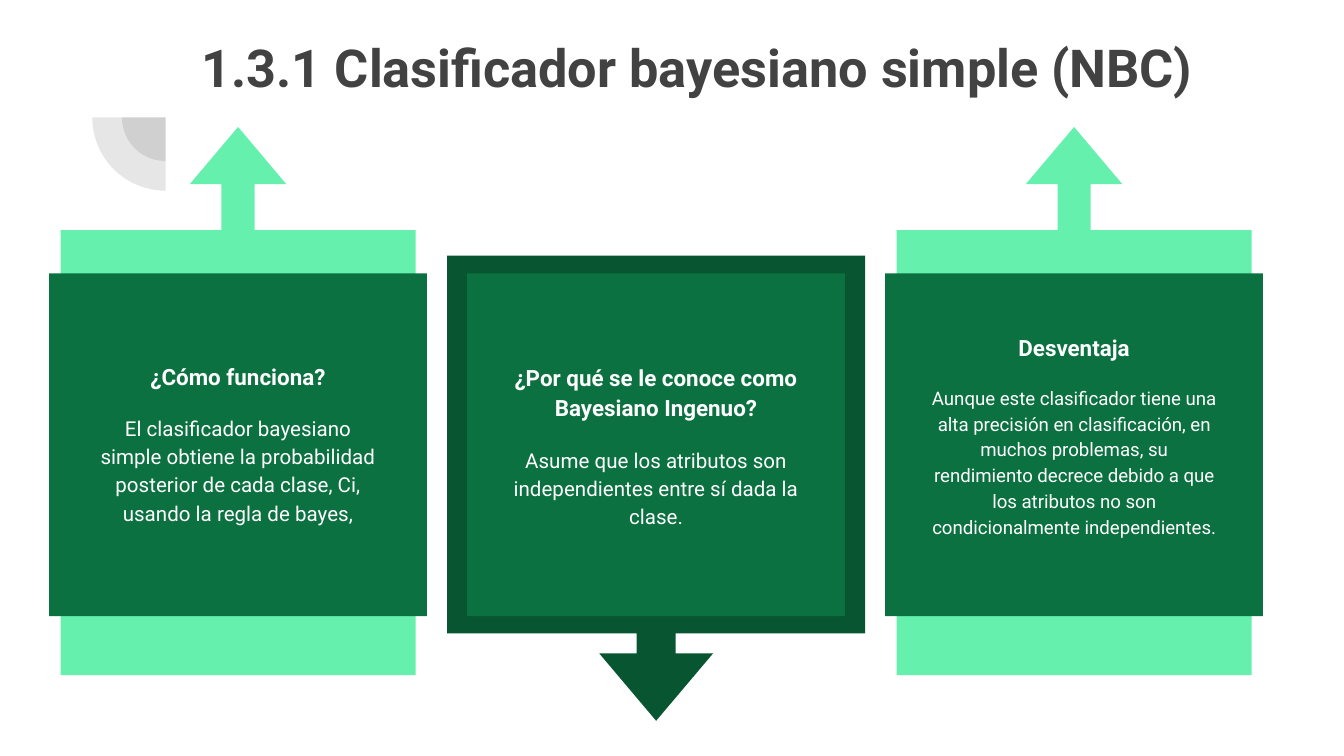
from dataclasses import dataclass

from lxml.etree import SubElement
from pptx import Presentation
from pptx.dml.color import RGBColor
from pptx.enum.shapes import MSO_SHAPE
from pptx.enum.text import MSO_ANCHOR, MSO_AUTO_SIZE, PP_ALIGN
from pptx.oxml.ns import qn
from pptx.shapes.autoshape import Shape
from pptx.slide import Slide
from pptx.text.text import TextFrame, _Paragraph
from pptx.util import Cm, Pt

FONT = "Roboto"
GREY, WHITE = "424242", "FFFFFF"
PANEL, LIGHT, DARK = "0B7140", "65F0AD", "085631"
FIRST, STEP = 4.5, 7.9  # centre of the first card, distance between centres
PANEL_W, PANEL_H, PANEL_MID = 7.14, 6.48, 8.41
TEXT_W = 5.97
FRAME = dict(word_wrap=True, auto_size=MSO_AUTO_SIZE.NONE,
             vertical_anchor=MSO_ANCHOR.TOP,
             margin_left=Cm(0.25), margin_right=Cm(0.25),
             margin_top=Cm(0.25), margin_bottom=Cm(0.25))


@dataclass
class Arrow:
    length: float
    width: float
    mid: float
    turn: int
    color: str


@dataclass
class Card:
    head: str
    body: str
    size: int
    top: float
    height: float
    arrow: Arrow


UP = Arrow(10.36, 6.71, 7.58, 270, LIGHT)
DOWN = Arrow(8.79, 7.9, 9.23, 90, DARK)
CARDS = [
    Card("¿Cómo funciona?",
         "El clasificador bayesiano simple obtiene la probabilidad posterior "
         "de cada clase, Ci, usando la regla de bayes,", 11, 6.53, 3.3, UP),
    Card("¿Por qué se le conoce como Bayesiano Ingenuo?",
         "Asume que los atributos son independientes entre sí dada la clase.",
         11, 6.55, 4.42, DOWN),
    Card("Desventaja",
         "Aunque este clasificador tiene una alta precisión en clasificación, "
         "en muchos problemas, su rendimiento decrece debido a que los "
         "atributos no son condicionalmente independientes.",
         10, 5.99, 5.41, UP),
]


def rgb(code: str) -> RGBColor:
    return RGBColor.from_string(code)


def apply(item: object, values: dict) -> None:
    for name, value in values.items():
        setattr(item, name, value)


def add_form(slide: Slide, kind: MSO_SHAPE, x: float, y: float,
             w: float, h: float, color: str) -> Shape:
    """Draw a plain filled shape centred on x, y."""
    form = slide.shapes.add_shape(kind, Cm(x - w / 2), Cm(y - h / 2), Cm(w), Cm(h))
    form.shadow.inherit = False
    form.fill.solid()
    form.fill.fore_color.rgb = rgb(color)
    form.line.fill.background()
    return form


def tune(form: Shape, values: list[float]) -> None:
    """Set the adjustments of a shape."""
    for i, value in enumerate(values):
        form.adjustments[i] = value


def write(par: _Paragraph, text: str, size: int, color: str, bold: bool) -> None:
    run = par.add_run()
    run.text = text
    apply(run.font, dict(name=FONT, size=Pt(size), bold=bold))
    run.font.color.rgb = rgb(color)


def add_title(slide: Slide, text: str) -> None:
    title = slide.shapes.title
    apply(title, dict(left=Cm(3.56), top=Cm(0.41), width=Cm(19.53), height=Cm(2.77)))
    apply(title.text_frame, FRAME)
    par = title.text_frame.paragraphs[0]
    apply(par, dict(alignment=PP_ALIGN.LEFT, line_spacing=1.0))
    write(par, text, 28, GREY, True)


def add_fan(slide: Slide) -> None:
    """Draw the two translucent quarter circles in the corner."""
    for size in (1.65, 2.77):
        pie = add_form(slide, MSO_SHAPE.PIE, 3.13, 2.22, size, size, GREY)
        tune(pie, [54, 108])
        tint = pie.fill._xPr.find(qn("a:solidFill"))[0]
        SubElement(tint, qn("a:alpha"), val="13000")


def fill_text(frame: TextFrame, card: Card) -> None:
    apply(frame, FRAME)
    rows = [(card.head, 12, True, 12), (card.body, card.size, False, 16)]
    for i, (text, size, bold, gap) in enumerate(rows):
        par = frame.add_paragraph() if i else frame.paragraphs[0]
        apply(par, dict(alignment=PP_ALIGN.CENTER, line_spacing=1.15,
                        space_after=Pt(gap)))
        write(par, text, size, WHITE, bold)


def add_card(slide: Slide, card: Card, x: float) -> None:
    arrow = card.arrow
    back = add_form(slide, MSO_SHAPE.RIGHT_ARROW_CALLOUT, x, arrow.mid,
                    arrow.length, arrow.width, arrow.color)
    back.rotation = arrow.turn
    tune(back, [0.093, 0.136, 0.161, 0.812])
    add_form(slide, MSO_SHAPE.RECTANGLE, x, PANEL_MID, PANEL_W, PANEL_H, PANEL)
    box = slide.shapes.add_textbox(Cm(x - TEXT_W / 2), Cm(card.top),
                                   Cm(TEXT_W), Cm(card.height))
    fill_text(box.text_frame, card)


def main() -> None:
    deck = Presentation()
    apply(deck, dict(slide_width=Cm(25.4), slide_height=Cm(14.29)))
    slide = deck.slides.add_slide(deck.slide_layouts[5])
    add_fan(slide)
    add_title(slide, "1.3.1 Clasificador bayesiano simple (NBC)")
    for i, card in enumerate(CARDS):
        add_card(slide, card, FIRST + i * STEP)
    deck.save("out.pptx")


if __name__ == "__main__":
    main()
